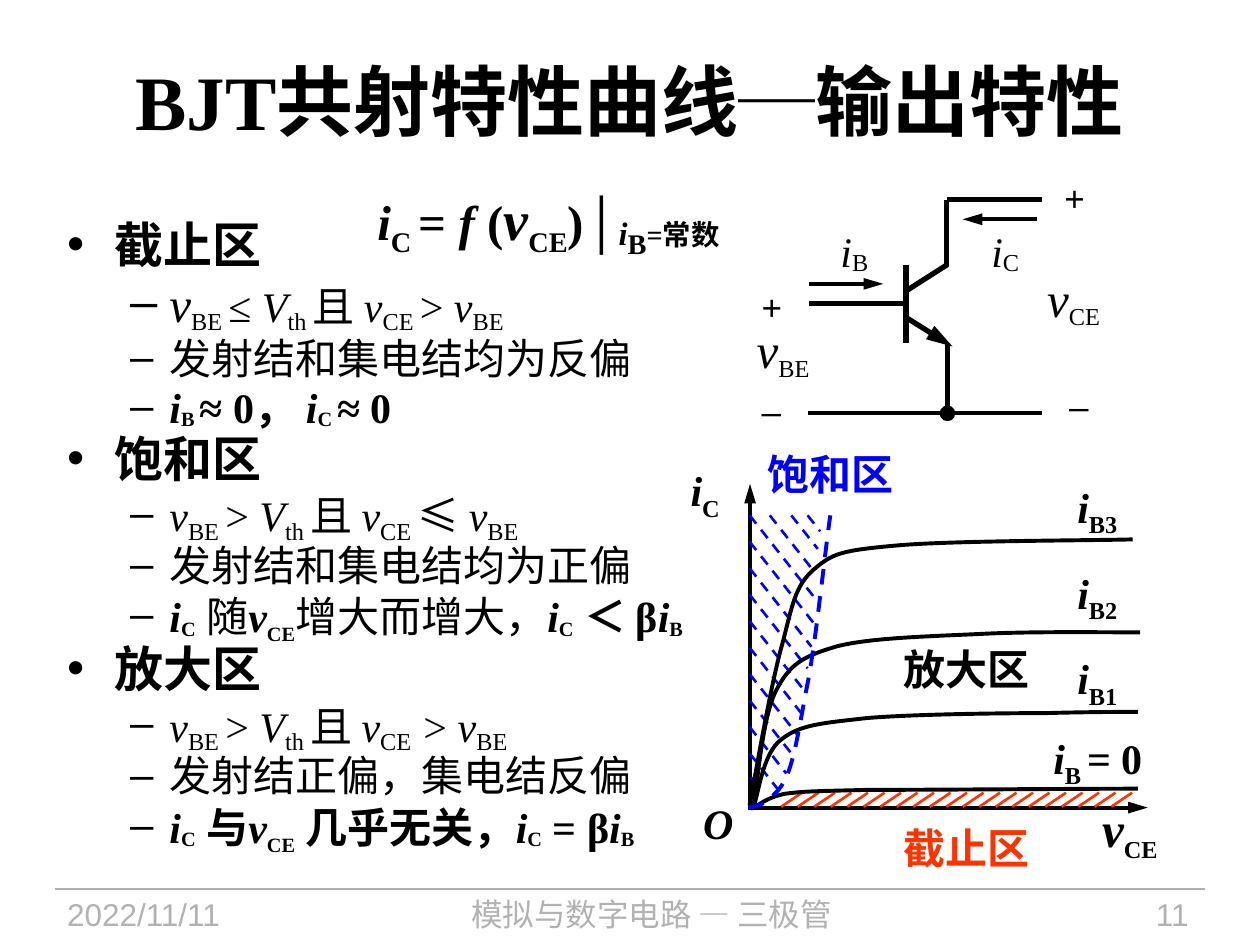
"""Draw the BJT common-emitter output curve slide."""
from dataclasses import dataclass
from typing import Any, Optional

import lxml.etree
import pptx
import pptx.dml.color
import pptx.enum.dml
import pptx.enum.shapes
import pptx.enum.text
import pptx.oxml.ns
import pptx.util

Pt = pptx.util.Pt
qn = pptx.oxml.ns.qn
ALIGN = pptx.enum.text.PP_ALIGN
ANCHOR = pptx.enum.text.MSO_ANCHOR
Point = tuple[float, float]


@dataclass(frozen=True)
class Theme:
    black: str = "000000"
    gray: str = "B2B2B2"
    blue: str = "0000FF"
    red: str = "FF3300"
    serif: str = "Times New Roman"
    sans: str = "Arial"
    hans: str = "Noto Sans CJK SC"
    title: float = 44
    huge: float = 32
    head: float = 28
    text: float = 24
    small: float = 20
    foot: float = 18
    thin: float = 0.75
    hatch: float = 1.5
    curve: float = 2.25
    wire: float = 3


LOOK = Theme()


@dataclass(frozen=True)
class Run:
    text: str
    size: float = LOOK.text
    style: str = ""
    drop: int = 0
    font: str = LOOK.serif


@dataclass(frozen=True)
class Para:
    runs: list[Run]
    lead: Optional[float] = None
    before: int = 0
    after: int = 0
    bullet: str = ""
    left: float = 0
    hang: float = 0
    level: int = 0


@dataclass(frozen=True)
class Box:
    left: float
    top: float
    width: float
    height: float
    paras: list[Para]
    color: str = LOOK.black
    align: Any = ALIGN.LEFT
    anchor: Any = ANCHOR.TOP
    bare: bool = False
    grow: bool = True
    wrap: bool = False


@dataclass(frozen=True)
class Line:
    start: Point
    end: Point
    width: float = LOOK.curve
    color: str = LOOK.black
    tip: str = ""
    dash: bool = False


@dataclass(frozen=True)
class Curve:
    points: list[Point]
    color: str = LOOK.black
    dash: bool = False


def ink(code: str) -> Any:
    return pptx.dml.color.RGBColor.from_string(code)


def space(props: Any, tag: str, percent: int) -> None:
    if percent:
        node = lxml.etree.SubElement(props, qn(tag))
        lxml.etree.SubElement(node, qn("a:spcPct"), val=str(percent * 1000))


def write(par: Any, para: Para, color: str) -> None:
    props = par._p.get_or_add_pPr()
    par.level = para.level
    if para.lead:
        par.line_spacing = para.lead
    space(props, "a:spcBef", para.before)
    space(props, "a:spcAft", para.after)
    if para.bullet:
        props.set("marL", str(Pt(para.left)))
        props.set("indent", str(Pt(-para.hang)))
        lxml.etree.SubElement(props, qn("a:buFont"), typeface=LOOK.sans)
        lxml.etree.SubElement(props, qn("a:buChar"), char=para.bullet)
    for item in para.runs:
        run = par.add_run()
        run.text = item.text
        font = run.font
        font.name, font.size = item.font, Pt(item.size)
        font.bold, font.italic = "b" in item.style, "i" in item.style
        font.color.rgb = ink(color)
        if item.drop:
            run._r.get_or_add_rPr().set("baseline", str(-1000 * item.drop))


def draw_box(slide: Any, box: Box) -> None:
    shape = slide.shapes.add_textbox(Pt(box.left), Pt(box.top), Pt(box.width), Pt(box.height))
    frame = shape.text_frame
    frame.word_wrap = box.wrap
    frame.vertical_anchor = box.anchor
    if box.grow:
        frame.auto_size = pptx.enum.text.MSO_AUTO_SIZE.SHAPE_TO_FIT_TEXT
    if box.bare:
        frame.margin_left = frame.margin_right = frame.margin_top = frame.margin_bottom = 0
    for i, para in enumerate(box.paras):
        par = frame.add_paragraph() if i else frame.paragraphs[0]
        par.alignment = box.align
        write(par, para, box.color)


def stroke(line: Any, color: str, width: float, dash: bool) -> None:
    line.color.rgb = ink(color)
    line.width = Pt(width)
    if dash:
        line.dash_style = pptx.enum.dml.MSO_LINE.DASH


def draw_line(slide: Any, item: Line) -> None:
    ends = [Pt(value) for value in item.start + item.end]
    shape = slide.shapes.add_connector(pptx.enum.shapes.MSO_CONNECTOR.STRAIGHT, *ends)
    stroke(shape.line, item.color, item.width, item.dash)
    if item.tip:
        size = "med" if item.tip == "oval" else "lg"
        lxml.etree.SubElement(shape.line._get_or_add_ln(), qn("a:tailEnd"), type=item.tip, w="med", len=size)
    lxml.etree.SubElement(shape._element.spPr, qn("a:effectLst"))


def bend(shape: Any) -> None:
    legs = list(shape._element.iter(qn("a:lnTo")))
    for k in range(0, len(legs), 3):
        trio = legs[k:k + 3]
        root = trio[0].getparent()
        arc = lxml.etree.SubElement(root, qn("a:cubicBezTo"))
        for leg in trio:
            arc.append(leg[0])
            root.remove(leg)


def draw_curve(slide: Any, curve: Curve) -> None:
    trail = [(Pt(x), Pt(y)) for x, y in curve.points]
    pen = slide.shapes.build_freeform(*trail[0], scale=1.0)
    pen.add_line_segments(trail[1:], close=False)
    shape = pen.convert_to_shape()
    bend(shape)
    shape.shadow.inherit = False
    shape.fill.background()
    stroke(shape.line, curve.color, LOOK.curve, curve.dash)


def pair(sign: str, low: str, bold: str = "", size: float = LOOK.text,
         small: float = LOOK.text, drop: int = 20) -> list[Run]:
    return [Run(sign, size, bold + "i"), Run(low, small, bold, drop)]


def amp(low: str) -> list[Run]:
    return pair("i", low, "b", small=LOOK.small, drop=10)


def rule(first: str, second: str, low: str = "CE ", size: float = LOOK.text, font: str = LOOK.serif) -> list[Run]:
    return [*pair("v", "BE ", size=size), Run(first), *pair("V", "th "), Run("且 "),
            *pair("v", low), Run(second, font=font), *pair("v", "BE")]


def zone(name: str, *rows: list[Run]) -> list[Para]:
    top = Para([Run(name, LOOK.head, "b")], 0.8, 0, 20, "•", 27, 27)
    return [top] + [Para(row, 0.8, 0, 20, "–", 58.5, 22.5, 1) for row in rows]


def label(left: float, top: float, width: float, height: float, runs: list[Run], **more: Any) -> Box:
    lead, before = more.pop("lead", None), more.pop("before", 0)
    return Box(left, top, width, height, [Para(runs, lead, before)], **more)


VCE = pair("v", "CE", "b", small=LOOK.small, drop=25)
BODY = (
    zone("截止区", rule("≤ ", "> ", size=LOOK.head), [Run("发射结和集电结均为反偏")],
         [*amp("B "), Run("≈ 0， ", style="b"), *amp("C "), Run("≈ 0", style="b")])
    + zone("饱和区", rule("> ", "≤ ", font=LOOK.hans), [Run("发射结和集电结均为正偏")],
           [*amp("C"), Run(" ", style="i"), Run("随"), *VCE, Run("增大而增大，"), *amp("C"),
            Run(" ", style="i"), Run("＜ β", style="b"), *amp("B")])
    + zone("放大区", rule("> ", "> ", "CE  "), [Run("发射结正偏，集电结反偏")],
           [*amp("C"), Run(" 与", style="b"), *VCE, Run(" 几乎无关，", style="b"), *amp("C"),
            Run(" ", style="i"), Run("= β", style="b"), *amp("B")])
)
FORMULA = [*pair("i", "C ", "b", LOOK.head, LOOK.head, 25), Run("= ", LOOK.head, "b"),
           Run("f ", LOOK.head, "bi"), Run("(", LOOK.head, "b"),
           *pair("v", "CE", "b", LOOK.huge, LOOK.head, 25), Run(")│", LOOK.head, "b"),
           Run("i", LOOK.huge, "bi", 10), Run("B", LOOK.head, "b", 30), Run("=常数", LOOK.head, "b", 10)]


def foot(text: str, font: str = LOOK.sans) -> Run:
    return Run(text, LOOK.foot, font=font)


def area(text: str) -> list[Run]:
    return [Run(text, style="b", font=LOOK.sans)]


def mark(low: str) -> list[Run]:
    return pair("i", low, "b", drop=25)


FOOT = dict(color=LOOK.gray, grow=False, wrap=True)
BOXES = [
    label(31.2, 508, 135.4, 31.7, [foot("2022/11/11")], **FOOT),
    label(179.3, 508, 385.9, 31.7, [foot("模拟与数字电路 "), foot("— ", LOOK.serif), foot("三极管")],
          align=ALIGN.CENTER, **FOOT),
    label(590.5, 508, 95.8, 31.7, [foot("11")], align=ALIGN.RIGHT, **FOOT),
    label(36, 12.2, 648, 90, [Run("BJT", LOOK.title, "b"), Run("共射特性曲线─输出特性", LOOK.title, "b", font=LOOK.sans)],
          align=ALIGN.CENTER, anchor=ANCHOR.MIDDLE, grow=False, wrap=True),
    Box(31.2, 125.4, 375.1, 389.5, BODY, grow=False, wrap=True),
    label(208.6, 88.6, 249.8, 56.9, FORMULA, lead=1.3, wrap=True),
    label(601.9, 411.8, 52.6, 34.6, [*mark("B "), Run("= 0", style="b")], lead=1.2, bare=True),
    label(509, 466.6, 87.1, 36, area("截止区"), color=LOOK.red),
    label(509, 364.3, 87.1, 36, area("放大区")),
    label(431.3, 252.7, 99.4, 36, area("饱和区"), color=LOOK.blue, wrap=True),
    label(629.5, 456.5, 32.4, 36.7, pair("v", "CE", "b", LOOK.head, drop=25), before=50,
          align=ALIGN.CENTER, anchor=ANCHOR.MIDDLE, bare=True, grow=False),
    label(394.6, 267.6, 18, 28.8, mark("C"), before=50, anchor=ANCHOR.MIDDLE, bare=True),
    label(401.8, 455.8, 17.3, 28.8, [Run("O", style="bi")], before=50, bare=True),
]
BOXES += [label(615.6, 366.5 - 49 * i, 25.2, 34.6, mark(f"B{i + 1}"), lead=1.2, bare=True, wrap=True)
          for i in range(3)]
BOXES += [label(x, 125.3, 31.7, 36, pair("i", low, drop=10)) for x, low in ((473.2, "B"), (559.4, "C"))]
BOXES += [label(x, y, 47.5, 41, pair("v", low, size=LOOK.head))
          for x, y, low in ((425.3, 179.3, "BE"), (591.3, 149.8, "CE"))]
BOXES += [label(x, y, 25.9, 31, [Run(sign, LOOK.small, font=LOOK.sans)])
          for x, y, sign in ((428.2, 159.8, "+"), (428.2, 218.9, "–"), (601.2, 97.2, "+"), (603.8, 216, "–"))]

WIRE = LOOK.wire
LINES = [
    Line((31.2, 508), (688.8, 508), LOOK.thin, LOOK.gray),
    Line((427.7, 461.5), (655.9, 461.5), tip="triangle"),
    Line((428.6, 461.5), (428.6, 276.5), tip="triangle"),
    Line((517.7, 151.2), (517.7, 195.8), WIRE),
    Line((517.7, 173.5), (462.2, 173.5), WIRE),
    Line((517.7, 166.3), (541.4, 151.2), WIRE),
    Line((517.7, 181.4), (544.3, 198), WIRE, tip="triangle"),
    Line((540.7, 151.9), (540.7, 114.2), WIRE),
    Line((541.4, 195.8), (541.4, 236.2), WIRE, tip="oval"),
    Line((595.4, 236.2), (462, 236.2)),
    Line((595.4, 114.2), (541.4, 114.2), WIRE),
    Line((462.2, 162.2), (504.7, 162.2), tip="triangle"),
    Line((592.6, 125.3), (550.1, 125.3), tip="triangle"),
]
LINES += [Line((446.4 + 9.43 * i, 461), (458.3 + 9.43 * i, 453), LOOK.hatch, LOOK.red) for i in range(21)]
SPANS = (37.4, 36.7, 35.3, 33.1, 31.7, 30.2, 27.4, 24.5, 20.9, 15.8)
HATCH = [(428.4, 294.5 + 15.12 * i, span) for i, span in enumerate(SPANS)]
HATCH += [(439.9, 294.5, 25.9), (452.2, 294.5, 15.1), (461.5, 294.5, 7.2), (429.1, 444.2, 6.5)]
LINES += [Line((x, y), (x + span, y + 1.27 * span), LOOK.hatch, LOOK.blue, dash=True) for x, y, span in HATCH]

CURVES = [
    Curve([(429.1, 462.2), (432.7, 460.8), (437.8, 455.8), (448.6, 453.6), (460.1, 452.2), (463, 452.2),
           (496.1, 451.4), (529.9, 451.4), (617.8, 450.7), (650.2, 450.7)]),
    Curve([(430.6, 460.8), (433.4, 454.3), (435.6, 430.6), (446.4, 422.6), (457.2, 414), (469.4, 413.3),
           (494.6, 410.4), (519.1, 408.2), (571.7, 407.5), (597.6, 407.5), (623.5, 406.8), (639.4, 406.8),
           (650.2, 406.8)]),
    Curve([(430.6, 460.1), (432.7, 449.3), (435.6, 409.7), (443.5, 394.6), (451.4, 379.4), (458.6, 375.1),
           (478.1, 369.4), (497.5, 364.3), (532.8, 363.6), (561.6, 362.2), (591.1, 360.7), (636.5, 361.4),
           (651.6, 361.4)]),
    Curve([(428.4, 460.1), (431.3, 445), (440.6, 390.2), (447.1, 367.9), (452.9, 345.6), (454.3, 334.8),
           (465.1, 325.4), (475.9, 316.1), (481, 314.6), (511.2, 311.8), (541.4, 308.9), (625, 308.9),
           (647.3, 308.2)]),
    Curve([(427.7, 461.5), (429.1, 460.8), (434.9, 460.8), (438.5, 457.2), (442.8, 453.6), (447.1, 450.7),
           (450.7, 440.6), (454.3, 430.6), (457.2, 414), (460.1, 397.4), (463.7, 380.9), (466.6, 357.8),
           (468.7, 340.6), (470.9, 323.3), (473, 303.8), (474.5, 294.5)], LOOK.blue, True),
]


def main() -> None:
    deck = pptx.Presentation()
    deck.slide_width, deck.slide_height = Pt(720), Pt(540)
    slide = deck.slides.add_slide(deck.slide_layouts[6])
    for draw, items in ((draw_line, LINES), (draw_curve, CURVES), (draw_box, BOXES)):
        for item in items:
            draw(slide, item)
    deck.save("out.pptx")


if __name__ == "__main__":
    main()
